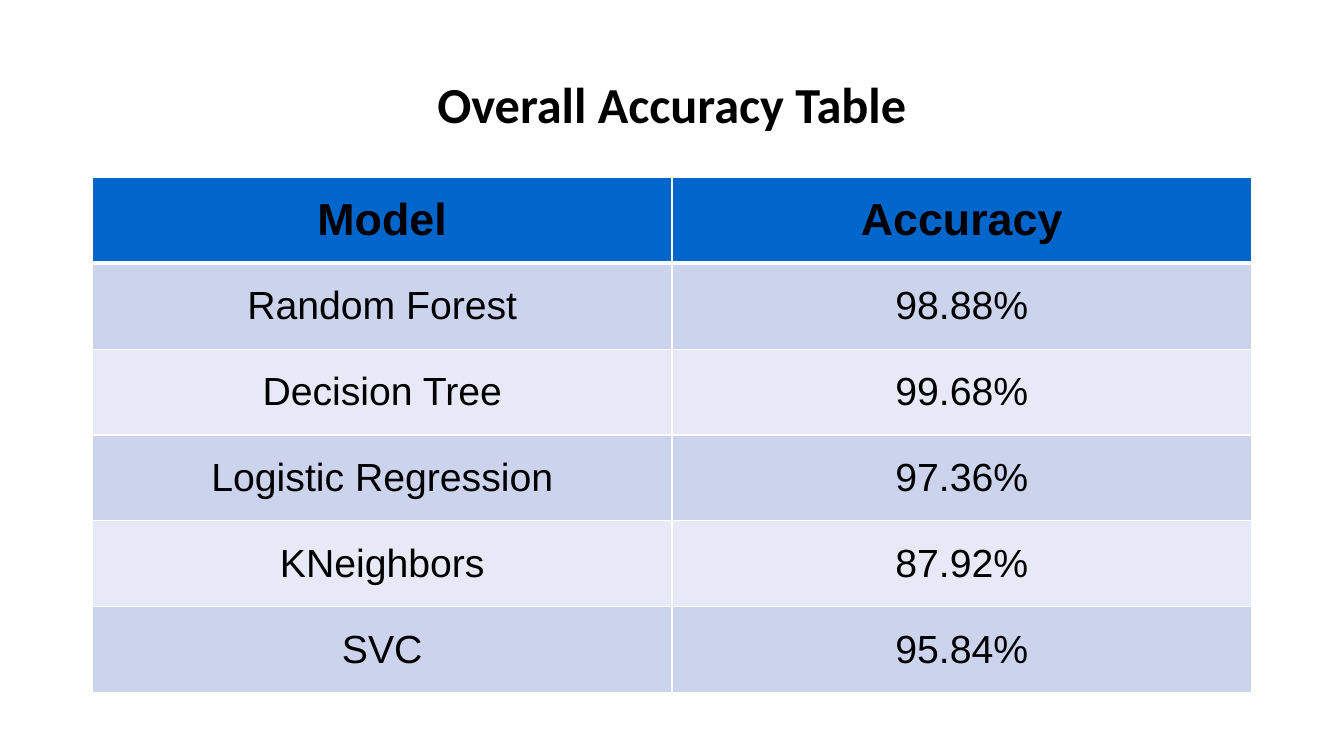
import pptx
import pptx.util
import pptx.dml.color
import pptx.enum.text
import pptx.oxml
import pptx.oxml.ns

Pt = pptx.util.Pt
RGB = pptx.dml.color.RGBColor.from_string

# Content
TITLE = "Overall Accuracy Table"
ROWS = [
    ("Model", "Accuracy"),
    ("Random Forest", "98.88%"),
    ("Decision Tree", "99.68%"),
    ("Logistic Regression", "97.36%"),
    ("KNeighbors", "87.92%"),
    ("SVC", "95.84%"),
]

THEME = {
    "text": "000000", "header": "0066CC", "bands": ("CCD3EC", "E7EAF6"), "border": "FFFFFF",
    "title_font": "Calibri", "table_font": "Arial",
    "title_size": 36, "header_size": 32, "body_size": 28,
}

# Layout, in points
SLIDE_W, SLIDE_H = 960, 540
MARGIN = 66
WIDTH = SLIDE_W - 2 * MARGIN
TITLE_TOP, TITLE_H = 28.75, 89.5
TABLE_TOP, TABLE_H = 126.75, 368
THIN, THICK = 1, 3


def write(tf, text, font, size, bold):
    p = tf.paragraphs[0]
    p.alignment = pptx.enum.text.PP_ALIGN.CENTER
    r = p.add_run()
    r.text = text
    r.font.name = font
    r.font.size = Pt(size)
    r.font.bold = bold
    r.font.color.rgb = RGB(THEME["text"])


def set_borders(cell, top, bottom):
    tc_pr = cell._tc.get_or_add_tcPr()
    for side, width in (("L", THIN), ("R", THIN), ("T", top), ("B", bottom)):
        tc_pr.append(pptx.oxml.parse_xml(
            f'<a:ln{side} {pptx.oxml.ns.nsdecls("a")} w="{Pt(width)}"><a:solidFill>'
            f'<a:srgbClr val="{THEME["border"]}"/></a:solidFill></a:ln{side}>'))


def add_title(s):
    tf = s.shapes.add_textbox(Pt(MARGIN), Pt(TITLE_TOP), Pt(WIDTH), Pt(TITLE_H)).text_frame
    tf.word_wrap = True
    tf.vertical_anchor = pptx.enum.text.MSO_ANCHOR.MIDDLE
    write(tf, TITLE, THEME["title_font"], THEME["title_size"], True)


def add_accuracy_table(s):
    table = s.shapes.add_table(len(ROWS), len(ROWS[0]), Pt(MARGIN), Pt(TABLE_TOP),
                               Pt(WIDTH), Pt(TABLE_H)).table
    for i, row in enumerate(ROWS):
        is_header = i == 0
        fill = THEME["header"] if is_header else THEME["bands"][(i - 1) % 2]
        size = THEME["header_size"] if is_header else THEME["body_size"]
        for j, text in enumerate(row):
            cell = table.cell(i, j)
            cell.vertical_anchor = pptx.enum.text.MSO_ANCHOR.MIDDLE
            # The heavy rule is shared by the header and the first row
            set_borders(cell, THICK if i == 1 else THIN, THICK if is_header else THIN)
            cell.fill.solid()
            cell.fill.fore_color.rgb = RGB(fill)
            write(cell.text_frame, text, THEME["table_font"], size, is_header)


def main():
    prs = pptx.Presentation()
    prs.slide_width, prs.slide_height = Pt(SLIDE_W), Pt(SLIDE_H)
    s = prs.slides.add_slide(prs.slide_layouts[6])
    add_title(s)
    add_accuracy_table(s)
    prs.save("out.pptx")


if __name__ == "__main__":
    main()
